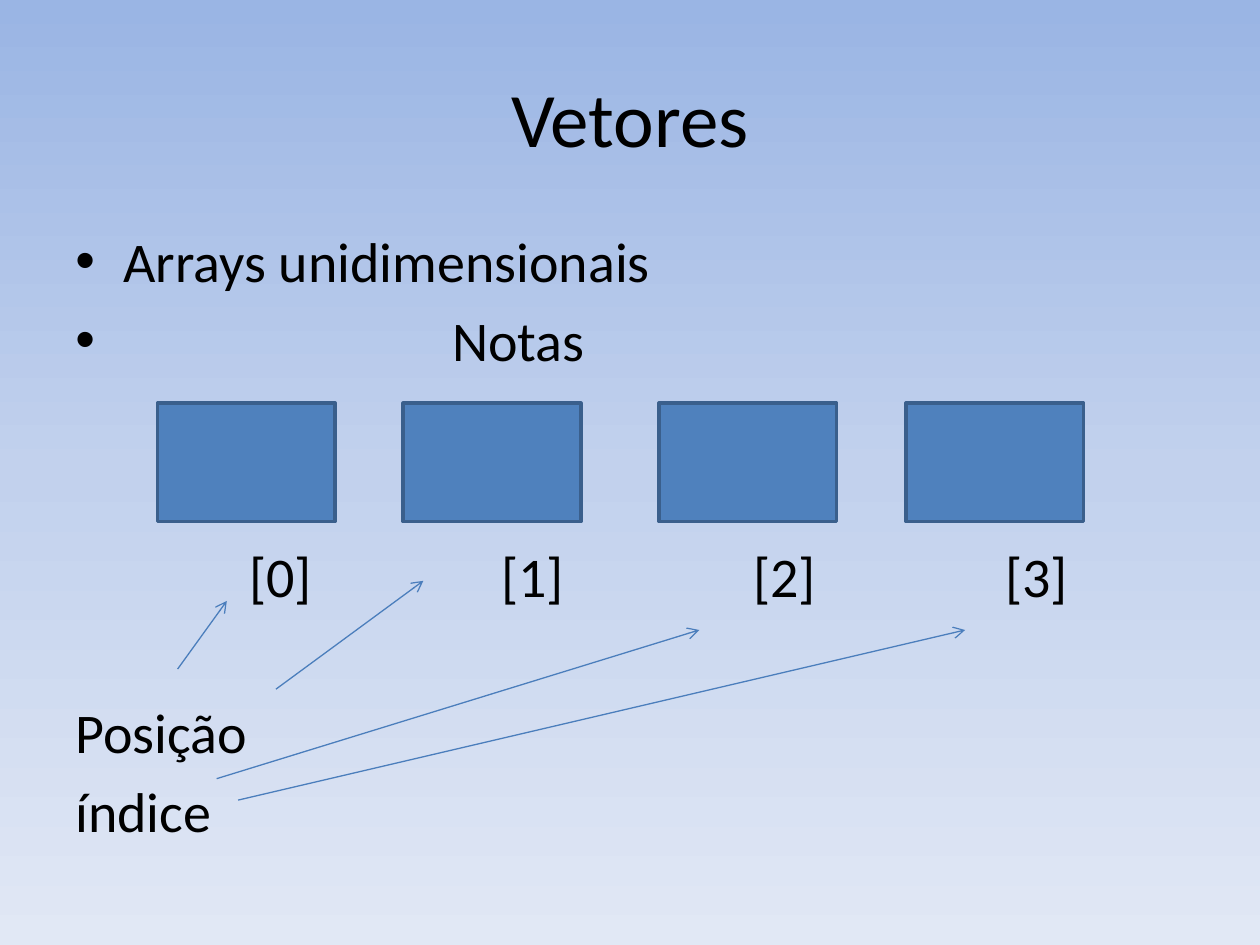
import copy

import pptx
import pptx.dml.color
import pptx.enum.shapes
import pptx.enum.text
import pptx.oxml
import pptx.oxml.ns
import pptx.util

Inches = pptx.util.Inches
Pt = pptx.util.Pt
qn = pptx.oxml.ns.qn

COLORS = {
    "sky_top": "9AB5E4",
    "sky_middle": "C2D1ED",
    "sky_bottom": "E1E8F5",
    "text": "000000",
    "cell": "4F81BD",
    "cell_line": "3A5F8C",
    "arrow": "4B7EBC",
}


def rgb(name):
    return pptx.dml.color.RGBColor.from_string(COLORS[name])


class VectorSlide:
    font = "Calibri"
    title_size = Pt(44)
    body_size = Pt(32)
    space_before = Pt(6.4)

    def __init__(self, deck):
        self.slide = deck.slides.add_slide(deck.slide_layouts[5])

    def background(self, stops):
        fill = self.slide.background.fill
        fill.gradient()
        fill.gradient_angle = 270
        stop_list = next(self.slide.element.iter(qn("a:gsLst")))
        while len(stop_list) < len(stops):
            stop_list.append(copy.deepcopy(stop_list[0]))
        for stop, (position, color) in zip(fill.gradient_stops, stops):
            stop.position = position
            stop.color.rgb = rgb(color)

    def style(self, para, size):
        for span in para.runs:
            span.font.name = self.font
            span.font.size = size
            span.font.color.rgb = rgb("text")

    def title(self, text, left, top, width, height):
        box = self.slide.shapes.title
        box.left, box.top = Inches(left), Inches(top)
        box.width, box.height = Inches(width), Inches(height)
        frame = box.text_frame
        frame.text = text
        frame.vertical_anchor = pptx.enum.text.MSO_ANCHOR.MIDDLE
        para = frame.paragraphs[0]
        para.alignment = pptx.enum.text.PP_ALIGN.CENTER
        self.style(para, self.title_size)

    def text(self, lines, left, top, width, height, bullet_indents=()):
        box = self.slide.shapes.add_textbox(
            Inches(left), Inches(top), Inches(width), Inches(height))
        frame = box.text_frame
        frame.word_wrap = True
        frame.text = "\n".join(lines)
        for para in frame.paragraphs[1:]:
            para.space_before = self.space_before
        for para, indent in zip(frame.paragraphs, bullet_indents):
            self.bullet(para, indent)
        for para in frame.paragraphs:
            self.style(para, self.body_size)

    def bullet(self, para, indent):
        properties = para._p.get_or_add_pPr()
        properties.set("marL", str(Inches(indent)))
        properties.set("indent", str(-Inches(indent)))
        for tag, name, value in (("a:buFont", "typeface", "Arial"),
                                 ("a:buChar", "char", "•")):
            mark = pptx.oxml.parse_xml(f"<{tag} {pptx.oxml.ns.nsdecls('a')}/>")
            mark.set(name, value)
            properties.append(mark)

    def cell(self, left, top, width, height):
        shape = self.slide.shapes.add_shape(
            pptx.enum.shapes.MSO_SHAPE.RECTANGLE,
            Inches(left), Inches(top), Inches(width), Inches(height))
        shape.shadow.inherit = False
        shape.fill.solid()
        shape.fill.fore_color.rgb = rgb("cell")
        shape.line.color.rgb = rgb("cell_line")
        shape.line.width = Pt(2)

    def arrow(self, start, end):
        line = self.slide.shapes.add_connector(
            pptx.enum.shapes.MSO_CONNECTOR.STRAIGHT,
            *(Inches(value) for value in (*start, *end)))
        line.line.color.rgb = rgb("arrow")
        line.line.width = Pt(0.75)
        outline = line.line._get_or_add_ln()
        head = outline.makeelement(qn("a:tailEnd"), {"type": "arrow"})
        outline.append(head)
        properties = line._element.spPr
        properties.append(properties.makeelement(qn("a:effectLst"), {}))


def main():
    deck = pptx.Presentation()
    deck.slide_width, deck.slide_height = Inches(10), Inches(7.5)
    page = VectorSlide(deck)
    page.background([(0, "sky_top"), (0.5, "sky_middle"), (1, "sky_bottom")])
    page.title("Vetores", 0.5, 0.3, 9, 1.25)
    page.text(["Arrays unidimensionais", "Notas"], 0.5, 1.75, 9, 1.3,
              bullet_indents=(0.38, 2.99))
    for index, left in enumerate((1.25, 3.2, 5.23, 7.19)):
        page.cell(left, 3.2, 1.41, 0.94)
        page.text([f"[{index}]"], 1.88 + 2 * index, 4.25, 0.9, 0.64)
    page.text(["Posição", "índice"], 0.5, 5.49, 2, 1.25)
    for start, end in (
        ((1.41, 5.31), (1.8, 4.77)),
        ((2.19, 5.47), (3.36, 4.61)),
        ((1.72, 6.18), (5.55, 5)),
        ((1.89, 6.35), (7.66, 5)),
    ):
        page.arrow(start, end)
    deck.save("out.pptx")


if __name__ == "__main__":
    main()
